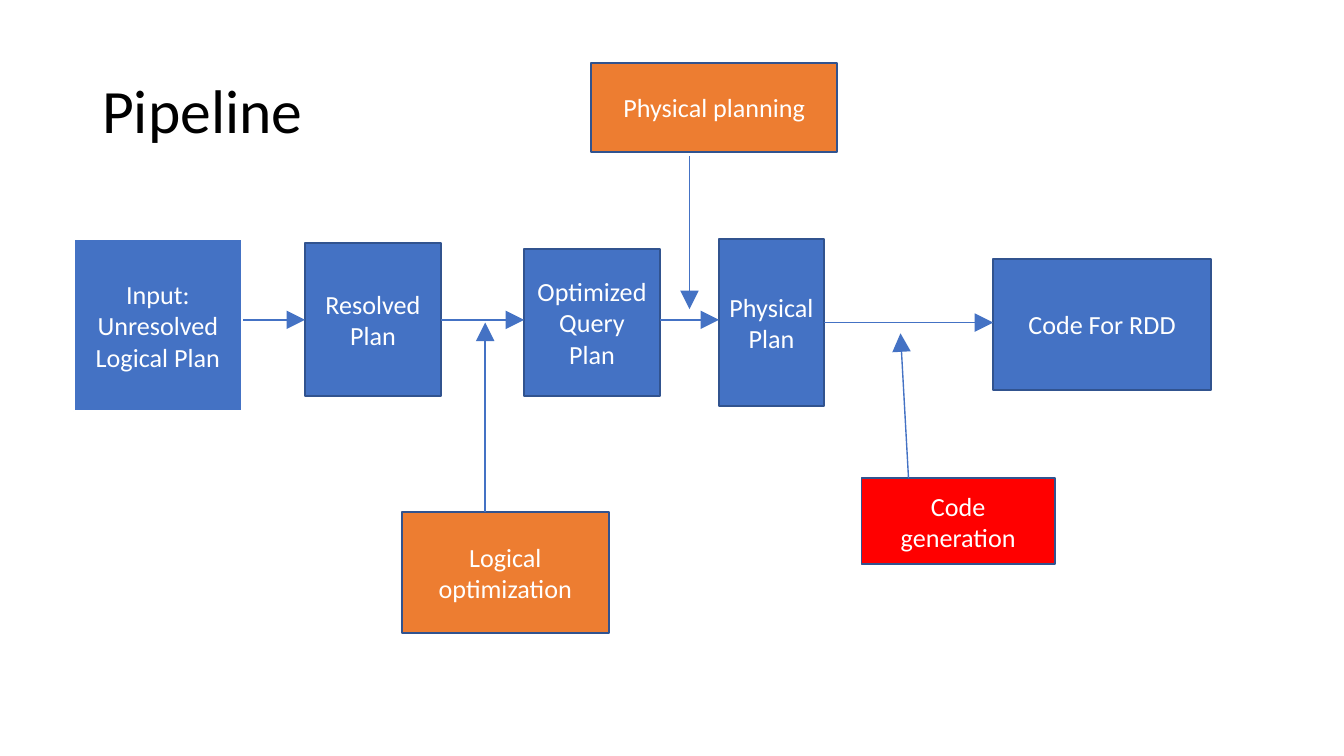
from dataclasses import dataclass
from typing import Optional

from lxml.etree import SubElement
from pptx import Presentation
from pptx.dml.color import RGBColor
from pptx.enum.shapes import MSO_CONNECTOR, MSO_SHAPE
from pptx.enum.text import MSO_ANCHOR, PP_ALIGN
from pptx.oxml.ns import qn
from pptx.shapes.autoshape import Shape
from pptx.shapes.connector import Connector
from pptx.slide import Slide
from pptx.text.text import TextFrame
from pptx.util import Inches, Pt


@dataclass(frozen=True)
class Theme:
    """Colours, font and sizes of the slide."""
    font: str = "Calibri"
    title_size: int = 33
    label_size: int = 14
    black: str = "000000"
    white: str = "FFFFFF"
    blue: str = "4472C4"
    outline: str = "31538F"
    orange: str = "ED7D31"
    red: str = "FF0000"
    box_line: float = 1
    arrow_line: float = 0.75


THEME = Theme()
LEFT, RIGHT = 1, 3


@dataclass(frozen=True)
class Box:
    """A labelled rectangle, measured in inches."""
    name: str
    left: float
    top: float
    width: float
    height: float
    paragraphs: tuple[str, ...]
    fill: str = THEME.blue
    line: str = THEME.outline


@dataclass(frozen=True)
class Arrow:
    """An arrow whose ends may be joined to the sides of named boxes."""
    start: tuple[float, float]
    end: tuple[float, float]
    source: Optional[str] = None
    target: Optional[str] = None


BOXES = (
    Box("resolved", 2.27, 1.81, 1.01, 1.14, ("Resolved Plan",)),
    Box("optimized", 3.9, 1.85, 1.01, 1.1, ("Optimized Query Plan",)),
    Box("input", 0.55, 1.78, 1.25, 1.28,
        ("Input:", "Unresolved Logical Plan"), line=THEME.white),
    Box("physical", 5.35, 1.78, 0.78, 1.24, ("Physical Plan",)),
    Box("code", 7.39, 1.93, 1.62, 0.97, ("Code For RDD",)),
    Box("optimization", 2.99, 3.81, 1.54, 0.9, ("Logical optimization",), THEME.orange),
    Box("planning", 4.4, 0.47, 1.83, 0.66, ("Physical planning",), THEME.orange),
    Box("generation", 6.41, 3.56, 1.44, 0.64, ("Code generation",), THEME.red),
)

ARROWS = (
    Arrow((1.81, 2.38), (2.27, 2.38), target="resolved"),
    Arrow((3.28, 2.38), (3.9, 2.38), source="resolved"),
    Arrow((4.91, 2.38), (5.35, 2.38)),
    Arrow((6.13, 2.4), (7.39, 2.4), source="physical"),
    Arrow((3.61, 3.81), (3.61, 2.4)),
    Arrow((5.13, 1.16), (5.13, 2.3)),
    Arrow((6.76, 3.56), (6.7, 2.48)),
)


def write_text(frame: TextFrame, paragraphs: tuple[str, ...], size: int,
               color: str, align: PP_ALIGN, spacing: float = 1.0) -> None:
    """Fill a text frame, one run per paragraph."""
    frame.word_wrap = True
    frame.vertical_anchor = MSO_ANCHOR.MIDDLE
    frame.margin_left = frame.margin_right = Inches(0.07)
    frame.margin_top = frame.margin_bottom = Inches(0.04)
    for index, text in enumerate(paragraphs):
        para = frame.add_paragraph() if index else frame.paragraphs[0]
        para.alignment = align
        para.line_spacing = spacing
        span = para.add_run()
        span.text = text
        span.font.name = THEME.font
        span.font.size = Pt(size)
        span.font.color.rgb = RGBColor.from_string(color)


def draw_title(page: Slide, text: str) -> None:
    """Add the slide title."""
    title = page.shapes.add_textbox(Inches(0.69), Inches(0.3), Inches(8.62), Inches(1.09))
    write_text(title.text_frame, (text,), THEME.title_size, THEME.black, PP_ALIGN.LEFT, 0.9)


def draw_box(page: Slide, box: Box) -> Shape:
    """Add one labelled rectangle."""
    shape = page.shapes.add_shape(MSO_SHAPE.RECTANGLE, Inches(box.left), Inches(box.top),
                                  Inches(box.width), Inches(box.height))
    shape.shadow.inherit = False
    shape.fill.solid()
    shape.fill.fore_color.rgb = RGBColor.from_string(box.fill)
    shape.line.color.rgb = RGBColor.from_string(box.line)
    shape.line.width = Pt(THEME.box_line)
    write_text(shape.text_frame, box.paragraphs, THEME.label_size, THEME.white, PP_ALIGN.CENTER)
    return shape


def draw_arrow(page: Slide, arrow: Arrow, shapes: dict[str, Shape]) -> Connector:
    """Add one arrow and join it to its boxes."""
    connector = page.shapes.add_connector(MSO_CONNECTOR.STRAIGHT,
                                          *map(Inches, arrow.start + arrow.end))
    connector.line.color.rgb = RGBColor.from_string(THEME.blue)
    connector.line.width = Pt(THEME.arrow_line)
    properties = connector._element.spPr
    SubElement(properties.find(qn("a:ln")), qn("a:tailEnd"), type="triangle", w="lg", len="lg")
    SubElement(properties, qn("a:effectLst"))
    if arrow.source:
        connector.begin_connect(shapes[arrow.source], RIGHT)
    if arrow.target:
        connector.end_connect(shapes[arrow.target], LEFT)
    return connector


def main() -> None:
    """Build and save the pipeline slide."""
    deck = Presentation()
    deck.slide_width = Inches(10)
    deck.slide_height = Inches(10 * 9 / 16)
    page = deck.slides.add_slide(deck.slide_layouts[6])
    draw_title(page, "Pipeline")
    shapes = {box.name: draw_box(page, box) for box in BOXES}
    for arrow in ARROWS:
        draw_arrow(page, arrow, shapes)
    deck.save("out.pptx")


if __name__ == "__main__":
    main()
